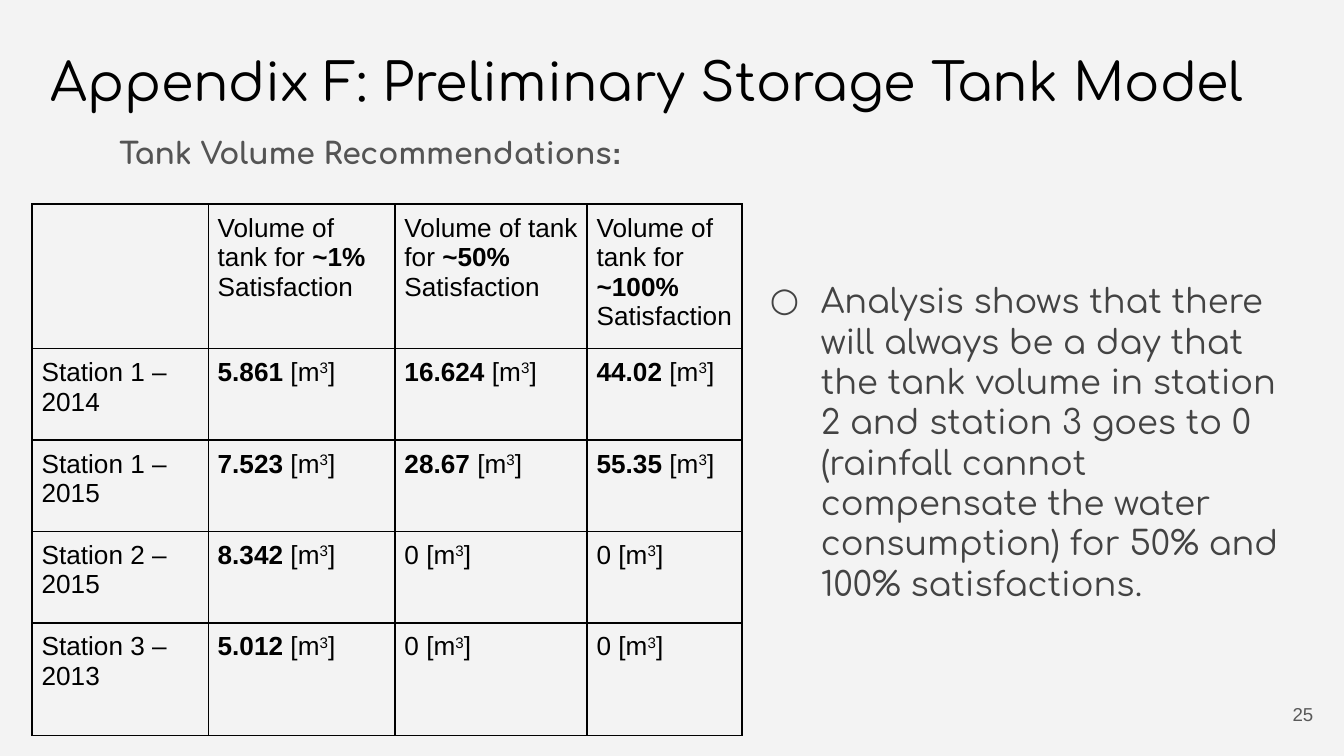
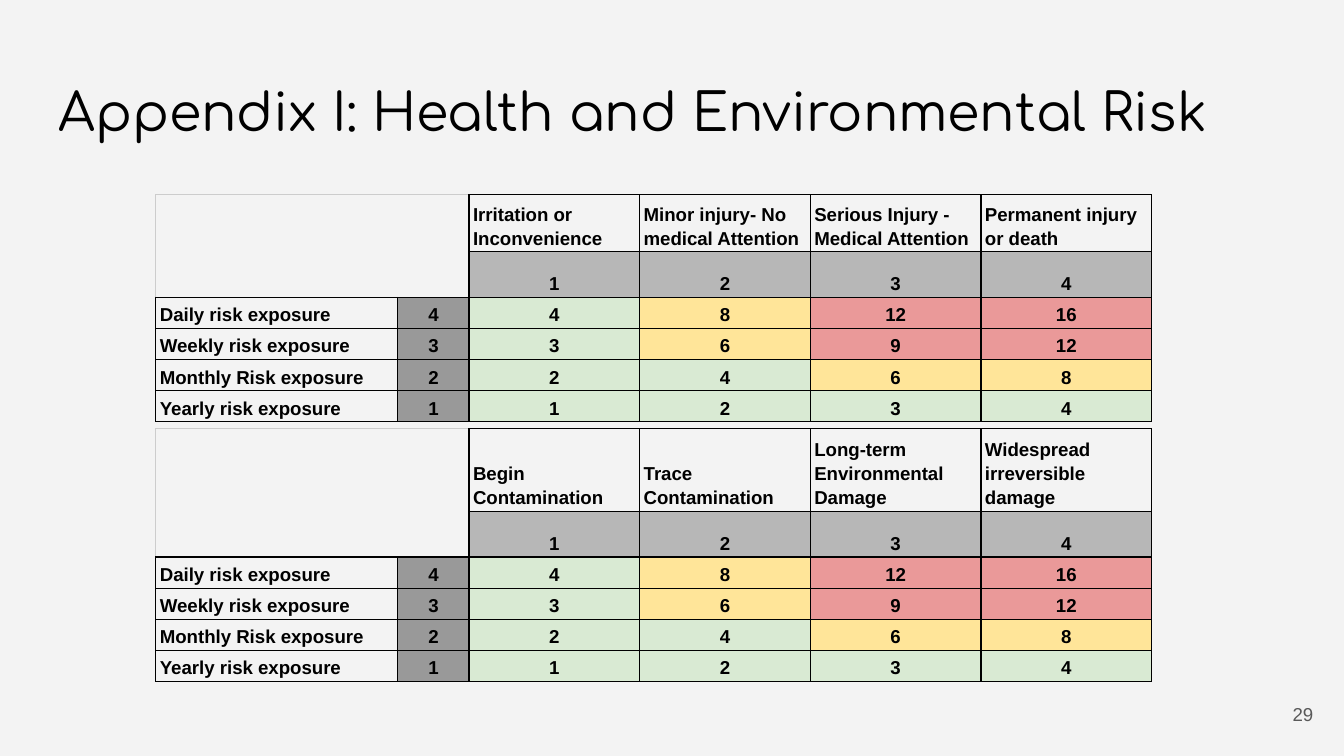
"""Build two appendix slides: tank volume recommendations and risk matrices."""
from dataclasses import dataclass, replace
from typing import Sequence

from lxml import etree
from pptx import Presentation
from pptx import util as u
from pptx.dml import color as dml
from pptx.enum import text as t
from pptx.oxml import ns


@dataclass(frozen=True)
class Style:
    size: float
    font: str
    color: str
    bold: bool = False


@dataclass(frozen=True)
class Theme:
    background: str = "F3F3F3"
    grid: str = "000000"
    corner_grid: str = "CCCCCC"
    severity: str = "B7B7B7"
    frequency: str = "999999"
    low: str = "D9EAD3"
    medium: str = "FFE599"
    high: str = "EA9999"
    title: Style = Style(28, "Comfortaa", "000000")
    subtitle: Style = Style(16, "Comfortaa", "545454", True)
    finding: Style = Style(18, "Comfortaa", "434343")
    page: Style = Style(10, "Arial", "595959")
    volume: Style = Style(14, "Arial", "000000")
    risk: Style = Style(10, "Arial", "000000", True)


@dataclass(frozen=True)
class Span:
    text: str
    style: Style
    raised: bool = False


@dataclass(frozen=True)
class Box:
    left: float
    top: float
    width: float
    height: float


@dataclass(frozen=True)
class CellLook:
    margins: tuple[float, float]
    line_width: float
    anchor: t.MSO_ANCHOR = t.MSO_ANCHOR.TOP
    align: t.PP_ALIGN = t.PP_ALIGN.LEFT
    spacing: float | None = None
    fill: str | None = None
    outer: str = "000000"


@dataclass(frozen=True)
class RiskMatrix:
    top: float
    header_height: float
    severities: tuple[str, ...]


THEME = Theme()
PAGE_BOX = Box(9.27, 5.1, 0.6, 0.43)
TABLE_SIDE = 3.28
TANK_COLUMNS = (1.31, 1.39, 1.43, 1.15)
TANK_ROWS = (0.69, 0.68, 0.68, 0.68, 0.84)
SATISFACTIONS = ("~1%", "~50%", "~100%")
TANK_VOLUMES = {
    "Station 1 – 2014": ("5.861", "16.624", "44.02"),
    "Station 1 – 2015": ("7.523", "28.67", "55.35"),
    "Station 2 – 2015": ("8.342", "0", "0"),
    "Station 3 – 2013": ("5.012", "0", "0"),
}
FREQUENCIES = ("Daily risk exposure", "Weekly risk exposure",
               "Monthly Risk exposure", "Yearly risk exposure")
RISK_MATRICES = (
    RiskMatrix(3.19, 0.53, ("Begin Contamination", "Trace Contamination",
                            "Long-term Environmental Damage",
                            "Widespread irreversible damage")),
    RiskMatrix(1.45, 0.36, ("Irritation or Inconvenience",
                            "Minor injury- No medical Attention",
                            "Serious Injury - Medical Attention",
                            "Permanent injury or death")),
)


def write(paragraph, spans: Sequence[Span]) -> None:
    """Add the spans to a paragraph as formatted runs."""
    for span in spans:
        run = paragraph.add_run()
        run.text = span.text
        run.font.size = u.Pt(span.style.size)
        run.font.name = span.style.font
        run.font.bold = span.style.bold
        run.font.color.rgb = dml.RGBColor.from_string(span.style.color)
        if span.raised:
            run.font._element.set("baseline", "30000")


def add_text(slide, box: Box, spans: Sequence[Span],
             anchor=t.MSO_ANCHOR.TOP, align=t.PP_ALIGN.LEFT):
    """Add a wrapped text box and return its paragraph."""
    frame = slide.shapes.add_textbox(
        u.Inches(box.left), u.Inches(box.top),
        u.Inches(box.width), u.Inches(box.height)).text_frame
    frame.word_wrap = True
    frame.vertical_anchor = anchor
    for side in ("left", "right", "top", "bottom"):
        setattr(frame, f"margin_{side}", u.Inches(0.1))
    paragraph = frame.paragraphs[0]
    paragraph.alignment = align
    write(paragraph, spans)
    return paragraph


def add_bullet(paragraph, symbol: str, color: str) -> None:
    """Give a paragraph a hanging bullet."""
    properties = paragraph._p.get_or_add_pPr()
    properties.set("marL", str(u.Inches(1)))
    properties.set("indent", str(u.Inches(-0.38)))
    properties.set("lvl", "1")
    bullet_color = etree.SubElement(properties, ns.qn("a:buClr"))
    etree.SubElement(bullet_color, ns.qn("a:srgbClr"), val=color)
    etree.SubElement(properties, ns.qn("a:buFont"), typeface="Roboto")
    etree.SubElement(properties, ns.qn("a:buChar"), char=symbol)


def add_slide(deck, title: str, box: Box, page: int):
    """Add a slide with the shared background, title and page number."""
    slide = deck.slides.add_slide(deck.slide_layouts[6])
    slide.background.fill.solid()
    slide.background.fill.fore_color.rgb = dml.RGBColor.from_string(THEME.background)
    add_text(slide, box, [Span(title, THEME.title)])
    add_text(slide, PAGE_BOX, [Span(str(page), THEME.page)],
             t.MSO_ANCHOR.MIDDLE, t.PP_ALIGN.RIGHT)
    return slide


def add_grid(slide, left: float, top: float,
             columns: Sequence[float], rows: Sequence[float]):
    """Add an unbanded table with the given column widths and row heights."""
    side = u.Inches(TABLE_SIDE)
    holder = slide.shapes.add_table(
        len(rows), len(columns), u.Inches(left), u.Inches(top), side, side)
    table = holder.table
    table.first_row = table.horz_banding = False
    for column, width in zip(table.columns, columns):
        column.width = u.Inches(width)
    for row, height in zip(table.rows, rows):
        row.height = u.Inches(height)
    holder.width = holder.height = side
    return table


def fill_cell(cell, spans: Sequence[Span], look: CellLook) -> None:
    """Set the text, margins, borders and fill of a cell."""
    across, down = look.margins
    cell.margin_left = cell.margin_right = u.Inches(across)
    cell.margin_top = cell.margin_bottom = u.Inches(down)
    cell.vertical_anchor = look.anchor
    properties = cell._tc.get_or_add_tcPr()
    for edge in "LRTB":
        line = etree.SubElement(properties, ns.qn(f"a:ln{edge}"),
                                w=str(u.Pt(look.line_width)))
        solid = etree.SubElement(line, ns.qn("a:solidFill"))
        etree.SubElement(solid, ns.qn("a:srgbClr"),
                         val=look.outer if edge in "LT" else THEME.grid)
    if look.fill:
        cell.fill.solid()
        cell.fill.fore_color.rgb = dml.RGBColor.from_string(look.fill)
    else:
        cell.fill.background()
    paragraph = cell.text_frame.paragraphs[0]
    paragraph.alignment = look.align
    paragraph.line_spacing = look.spacing
    write(paragraph, spans)


def add_tank_table(slide) -> None:
    """Draw the recommended tank volume of each station."""
    plain = THEME.volume
    strong = replace(plain, bold=True)
    look = CellLook((0.07, 0.07), 1)
    table = add_grid(slide, 0.24, 1.52, TANK_COLUMNS, TANK_ROWS)
    header = [[]] + [[Span("Volume of tank for ", plain), Span(level, strong),
                      Span(" Satisfaction", plain)] for level in SATISFACTIONS]
    body = [[[Span(station, plain)]]
            + [[Span(volume, plain if volume == "0" else strong),
                Span(" [m", plain), Span("3", plain, True), Span("]", plain)]
               for volume in volumes]
            for station, volumes in TANK_VOLUMES.items()]
    for r, row in enumerate([header] + body):
        for c, spans in enumerate(row):
            fill_cell(table.cell(r, c), spans, look)


def risk_fill(score: int) -> str:
    """Return the fill for a risk score."""
    if score <= 4:
        return THEME.low
    return THEME.medium if score <= 8 else THEME.high


def add_risk_matrix(slide, matrix: RiskMatrix) -> None:
    """Draw a matrix scoring frequency times severity."""
    levels = len(matrix.severities)
    table = add_grid(slide, 1.16, matrix.top, (1.8, 0.53) + (1.27,) * levels,
                     (matrix.header_height,) + (0.22,) * (len(FREQUENCIES) + 1))
    label = CellLook((0.03, 0.02), 0.75, t.MSO_ANCHOR.BOTTOM, spacing=1.15)
    number = replace(label, align=t.PP_ALIGN.CENTER)

    def put(r: int, c: int, value: str | int, look: CellLook) -> None:
        """Write one value in the matrix."""
        fill_cell(table.cell(r, c), [Span(str(value), THEME.risk)], look)

    for r in range(2):
        for c in range(2):
            fill_cell(table.cell(r, c), [],
                      replace(label, spacing=None, outer=THEME.corner_grid))
    table.cell(0, 0).merge(table.cell(1, 1))
    for severity, name in enumerate(matrix.severities, 1):
        put(0, severity + 1, name, label)
        put(1, severity + 1, severity, replace(number, fill=THEME.severity))
    for r, name in enumerate(FREQUENCIES, 2):
        frequency = len(FREQUENCIES) + 2 - r
        put(r, 0, name, label)
        put(r, 1, frequency, replace(number, fill=THEME.frequency))
        for severity in range(1, levels + 1):
            score = frequency * severity
            put(r, severity + 1, score, replace(number, fill=risk_fill(score)))


def add_tank_slide(deck) -> None:
    """Build the storage tank slide."""
    slide = add_slide(deck, "Appendix F: Preliminary Storage Tank Model",
                      Box(0.28, 0.27, 9.32, 0.63), 25)
    add_tank_table(slide)
    finding = add_text(slide, Box(5.01, 1.31, 4.8, 3.95), [
        Span("Analysis shows that there will always be a day that the tank volume "
             "in station 2 and station 3 goes to 0 (rainfall cannot compensate the "
             "water consumption) for 50% and 100% satisfactions", THEME.finding),
        Span(".", replace(THEME.finding, font="Roboto"))], t.MSO_ANCHOR.MIDDLE)
    add_bullet(finding, "○", THEME.finding.color)
    add_text(slide, Box(0.79, 0.9, 4.36, 0.41), [
        Span("Tank Volume Recommendations", THEME.subtitle),
        Span(":", replace(THEME.subtitle, font="Arial"))])


def add_risk_slide(deck) -> None:
    """Build the health and environmental risk slide."""
    slide = add_slide(deck, "Appendix I: Health and Environmental Risk",
                      Box(0.34, 0.49, 9.32, 0.63), 29)
    for matrix in RISK_MATRICES:
        add_risk_matrix(slide, matrix)


def main() -> None:
    """Build and save the deck."""
    deck = Presentation()
    deck.slide_width = u.Inches(10)
    deck.slide_height = deck.slide_width * 9 // 16
    add_tank_slide(deck)
    add_risk_slide(deck)
    deck.save("out.pptx")


if __name__ == "__main__":
    main()
